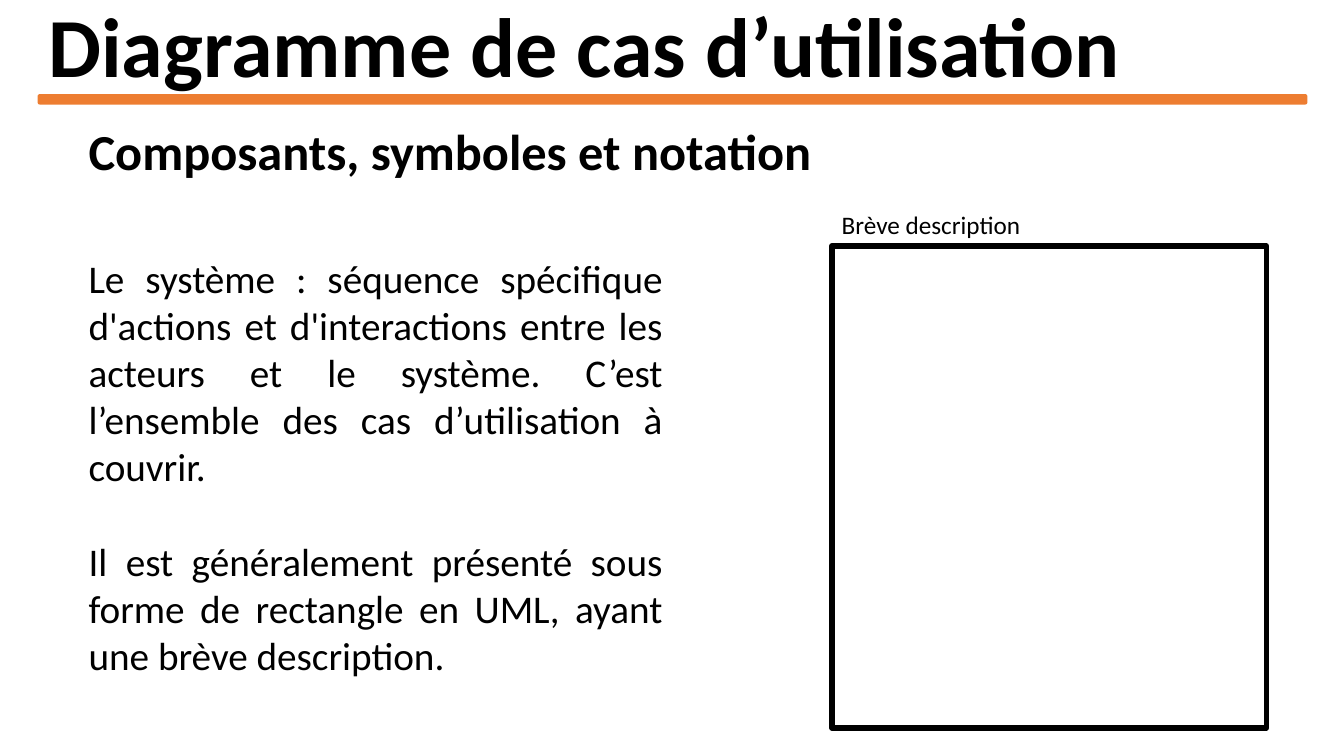
from dataclasses import dataclass

from pptx import Presentation
from pptx.dml.color import RGBColor
from pptx.enum.shapes import MSO_SHAPE
from pptx.enum.text import MSO_ANCHOR, PP_ALIGN
from pptx.util import Inches, Pt


@dataclass(frozen=True)
class Theme:
    font: str = "Calibri"
    ink: RGBColor = RGBColor(0, 0, 0)
    accent: RGBColor = RGBColor(0xED, 0x7D, 0x31)
    title: int = 60
    head: int = 36
    body: int = 28
    label: int = 18


theme = Theme()

deck = Presentation()
deck.slide_width, deck.slide_height = Inches(13.33), Inches(7.5)
slide = deck.slides.add_slide(deck.slide_layouts[6])


def add_text(box, lines, size, bold=False, align=PP_ALIGN.LEFT, gap=0):
    """Add a wrapped text box, one paragraph per line, gap points apart."""
    frame = slide.shapes.add_textbox(*map(Inches, box)).text_frame
    frame.word_wrap = True
    frame.text = "\n".join(lines)
    for i, para in enumerate(frame.paragraphs):
        para.alignment = align
        para.space_before = Pt(gap if i else 0)
        para.font.name = theme.font
        para.font.size = Pt(size)
        para.font.bold = bold
        para.font.color.rgb = theme.ink
    return frame


def add_block(kind, box, color, width):
    shape = slide.shapes.add_shape(kind, *map(Inches, box))
    shape.shadow.inherit = False
    shape.line.color.rgb = color
    shape.line.width = Pt(width)
    return shape


# Title and rule
title = add_text((0.38, 0, 12.58, 1), ["Diagramme de cas d’utilisation"],
                 theme.title, bold=True)
title.vertical_anchor = MSO_ANCHOR.MIDDLE
title.paragraphs[0].line_spacing = 0.9

rule = add_block(MSO_SHAPE.ROUNDED_RECTANGLE, (0.38, 0.94, 12.58, 0.09),
                 theme.accent, 1)
rule.fill.solid()
rule.fill.fore_color.rgb = theme.accent

# Heading and definition
add_text((0.78, 1.14, 11.78, 0.71), ["Composants, symboles et notation"],
         theme.head, bold=True, align=PP_ALIGN.JUSTIFY)
add_text((0.78, 2.47, 5.89, 4.34), [
    "Le système : séquence spécifique d'actions et d'interactions entre les "
    "acteurs et le système. C’est l’ensemble des cas d’utilisation à couvrir.",
    "Il est généralement présenté sous forme de rectangle en UML, ayant une "
    "brève description.",
], theme.body, align=PP_ALIGN.JUSTIFY, gap=34)

# System symbol
system = add_block(MSO_SHAPE.RECTANGLE, (8.25, 2.44, 4.31, 4.78), theme.ink, 4)
system.fill.background()
add_text((8.25, 2.03, 2.19, 0.4), ["Brève description"], theme.label)

deck.save("out.pptx")
